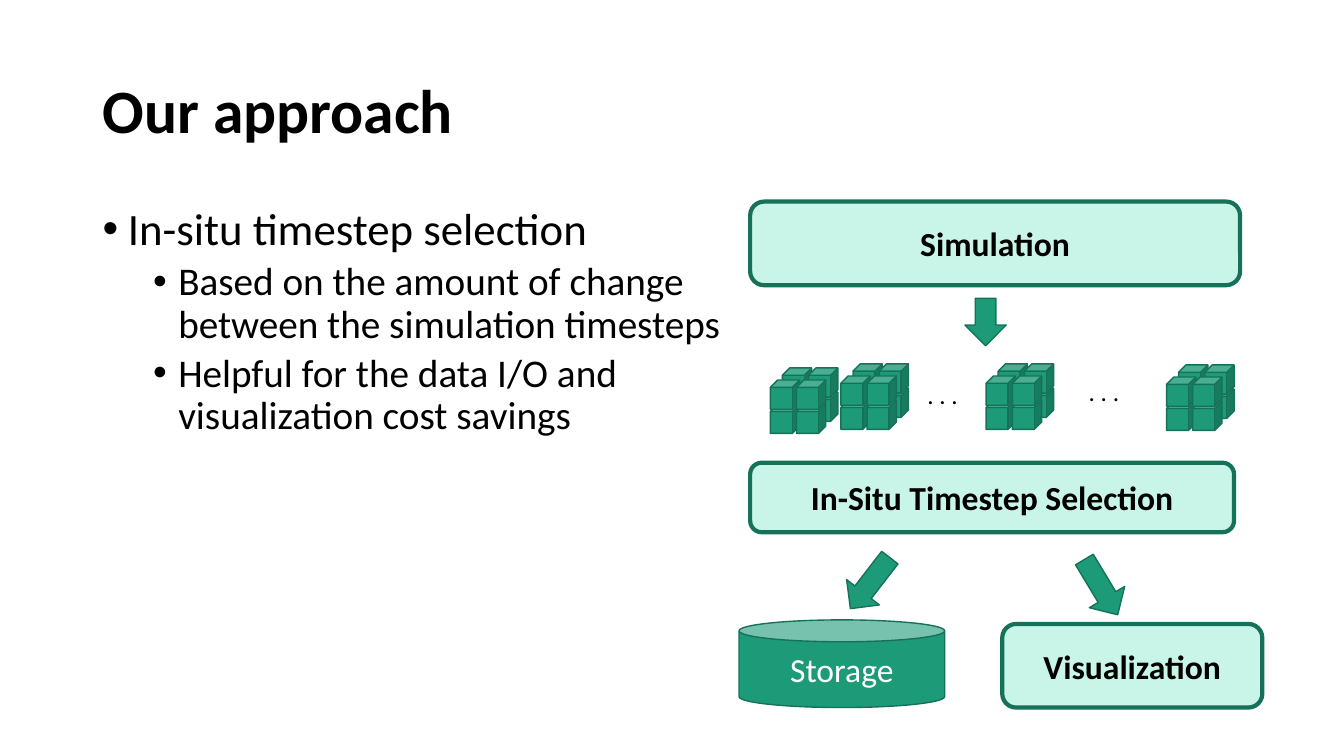
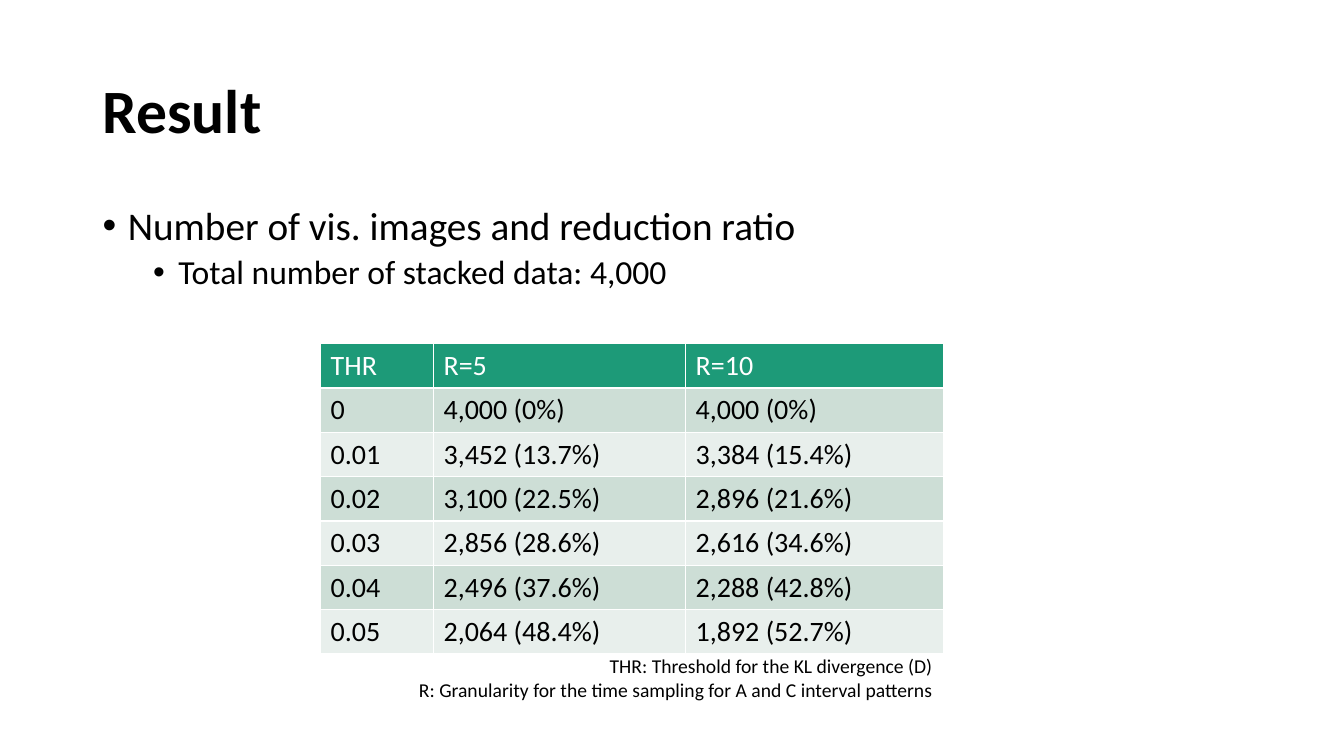
import dataclasses

import lxml.etree
import pptx
import pptx.dml.color
import pptx.enum.shapes
import pptx.enum.text
import pptx.oxml.ns
import pptx.util

SHAPE = pptx.enum.shapes.MSO_SHAPE
ALIGN = pptx.enum.text.PP_ALIGN
ANCHOR = pptx.enum.text.MSO_ANCHOR
EMU_PER_PX = 9144  # 100 px to the inch


@dataclasses.dataclass(frozen=True)
class Theme:
    face: str = "Calibri"
    text: str = "000000"
    light: str = "FFFFFF"
    accent: str = "1D9A78"
    outline: str = "157259"
    panel: str = "C8F5E8"
    bands: tuple = ("CDDED6", "E8EFEC")
    title: int = 44
    label: int = 24
    cell: int = 20
    dots: int = 18
    note: int = 14


THEME = Theme()
CUBE, CUBE_ACROSS, CUBE_DOWN, CUBE_DEPTH = 29, 26, 24, 12
RESULTS = [
    ("THR", "R=5", "R=10"),
    ("0", "4,000 (0%)", "4,000 (0%)"),
    ("0.01", "3,452 (13.7%)", "3,384 (15.4%)"),
    ("0.02", "3,100 (22.5%)", "2,896 (21.6%)"),
    ("0.03", "2,856 (28.6%)", "2,616 (34.6%)"),
    ("0.04", "2,496 (37.6%)", "2,288 (42.8%)"),
    ("0.05", "2,064 (48.4%)", "1,892 (52.7%)"),
]


def px(*lengths):
    return [pptx.util.Emu(length * EMU_PER_PX) for length in lengths]


def rgb(code):
    return pptx.dml.color.RGBColor.from_string(code)


def apply(target, **values):
    for name, value in values.items():
        setattr(target, name, value)


def paint(target, color):
    target.fill.solid()
    target.fill.fore_color.rgb = rgb(color)


def style_font(font, size, color=THEME.text, bold=False):
    apply(font, name=THEME.face, size=pptx.util.Pt(size), bold=bold)
    font.color.rgb = rgb(color)


def add_text(slide, box, lines, size, bold=False, align=ALIGN.LEFT,
             anchor=ANCHOR.TOP, wrap=True, spacing=None):
    frame = slide.shapes.add_textbox(*px(*box)).text_frame
    apply(frame, text="\n".join(lines), word_wrap=wrap, vertical_anchor=anchor)
    for paragraph in frame.paragraphs:
        apply(paragraph, alignment=align, line_spacing=spacing)
        style_font(paragraph.font, size, bold=bold)


def add_titled_slide(deck, title):
    slide = deck.slides.add_slide(deck.slide_layouts[6])
    add_text(slide, (92, 40, 1150, 145), [title], THEME.title, bold=True,
             anchor=ANCHOR.MIDDLE, spacing=0.9)
    return slide


def add_bullets(slide, width, sizes, points):
    """Write (level, text) points; sizes holds the type size of each level."""
    frame = slide.shapes.add_textbox(*px(92, 200, width, 476)).text_frame
    frame.word_wrap = True
    for index, (level, text) in enumerate(points):
        paragraph = frame.add_paragraph() if index else frame.paragraphs[0]
        apply(paragraph, text=text, level=level, line_spacing=0.9,
              space_before=pptx.util.Pt((10, 5)[level] if index else 0))
        properties = paragraph._p.get_or_add_pPr()
        margin, indent = px(25 + 50 * level, -25)
        properties.set("marL", str(margin))
        properties.set("indent", str(indent))
        for tag, key, value in (("a:buFont", "typeface", "Arial"),
                                ("a:buChar", "char", "•")):
            lxml.etree.SubElement(properties, pptx.oxml.ns.qn(tag)).set(key, value)
        style_font(paragraph.font, sizes[level])


def add_solid(shapes, preset, box, fill=THEME.accent, line_width=1, rotation=0):
    solid = shapes.add_shape(preset, *px(*box))
    apply(solid, rotation=rotation)
    solid.shadow.inherit = False
    paint(solid, fill)
    solid.line.color.rgb = rgb(THEME.outline)
    solid.line.width = pptx.util.Pt(line_width)
    return solid


def add_label(solid, text, color=THEME.text, bold=True):
    apply(solid.text_frame, text=text, word_wrap=True,
          vertical_anchor=ANCHOR.MIDDLE)
    paragraph = solid.text_frame.paragraphs[0]
    paragraph.alignment = ALIGN.CENTER
    style_font(paragraph.font, THEME.label, color, bold)


def add_stage(slide, text, box):
    stage = add_solid(slide.shapes, SHAPE.ROUNDED_RECTANGLE, box, THEME.panel, 3)
    add_label(stage, text)


def add_timestep(slide, left, top):
    """Stack 2 x 2 x 2 cubes, back layer first; left and top are the front's."""
    stack = slide.shapes.add_group_shape().shapes
    for depth in (CUBE_DEPTH, 0):
        for column in (0, 1):
            for row in (1, 0):
                add_solid(stack, SHAPE.CUBE,
                          (left + depth + column * CUBE_ACROSS,
                           top - depth + row * CUBE_DOWN, CUBE, CUBE))


def set_borders(cell, color, width):
    properties = cell._tc.get_or_add_tcPr()
    for side in ("a:lnL", "a:lnR", "a:lnT", "a:lnB"):
        edge = lxml.etree.SubElement(properties, pptx.oxml.ns.qn(side),
                                     w=str(pptx.util.Pt(width)))
        fill = lxml.etree.SubElement(edge, pptx.oxml.ns.qn("a:solidFill"))
        lxml.etree.SubElement(fill, pptx.oxml.ns.qn("a:srgbClr"), val=color)


def add_results_table(slide, left, top, widths, row_height, rows):
    box = px(left, top, sum(widths), row_height * len(rows))
    table = slide.shapes.add_table(len(rows), len(widths), *box).table
    table.horz_banding = False
    for column, width in zip(table.columns, px(*widths)):
        column.width = width
    for row_index, row in enumerate(rows):
        fill = THEME.bands[(row_index - 1) % 2] if row_index else THEME.accent
        color = THEME.text if row_index else THEME.light
        for column_index, text in enumerate(row):
            cell = table.cell(row_index, column_index)
            cell.text = text
            set_borders(cell, THEME.light, 1)
            paint(cell, fill)
            style_font(cell.text_frame.paragraphs[0].font, THEME.cell, color)


def build_approach(deck):
    slide = add_titled_slide(deck, "Our approach")
    add_bullets(slide, 636, (32, 28), [
        (0, "In-situ timestep selection"),
        (1, "Based on the amount of change between the simulation timesteps"),
        (1, "Helpful for the data I/O and visualization cost savings"),
    ])
    for text, box in (
        ("Simulation", (744, 200, 486, 83)),
        ("In-Situ Timestep Selection", (744, 459, 480, 69)),
        ("Visualization", (994, 619, 258, 83)),
    ):
        add_stage(slide, text, box)
    storage = add_solid(slide.shapes, SHAPE.CAN, (733, 615, 204, 87))
    add_label(storage, "Storage", THEME.light, bold=False)
    for box, rotation in (
        ((954, 299, 47, 41), 90),
        ((831, 558, 64, 41), 127.7),
        ((1060, 562, 64, 41), 58.9),
    ):
        add_solid(slide.shapes, SHAPE.RIGHT_ARROW, box, rotation=rotation)
    for left, top in ((764, 377), (834, 373), (978, 373), (1157, 374)):
        add_timestep(slide, left, top)
    for left, top in ((910, 371), (1070, 368)):
        add_text(slide, (left, top, 54, 40), [". . ."], THEME.dots, wrap=False)


def build_result(deck):
    slide = add_titled_slide(deck, "Result")
    add_bullets(slide, 1150, (28, 24), [
        (0, "Number of vis. images and reduction ratio"),
        (1, "Total number of stacked data: 4,000"),
    ])
    add_results_table(slide, 318, 341, (112, 250, 256), 44, RESULTS)
    add_text(slide, (331, 644, 604, 57), [
        "THR: Threshold for the KL divergence (D)",
        "R: Granularity for the time sampling for A and C interval patterns",
    ], THEME.note, align=ALIGN.RIGHT)


def main():
    deck = pptx.Presentation()
    deck.slide_width, deck.slide_height = px(1333, 750)
    build_approach(deck)
    build_result(deck)
    deck.save("out.pptx")


if __name__ == "__main__":
    main()
